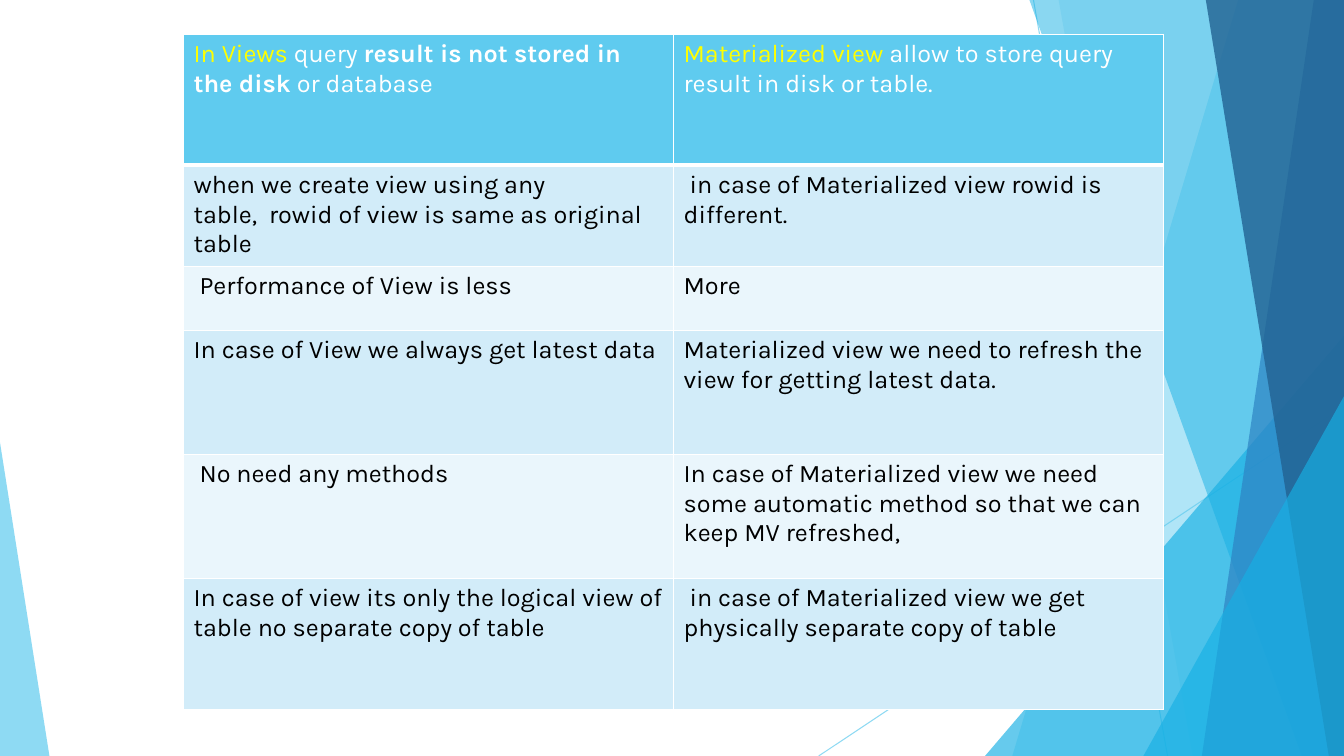
from dataclasses import dataclass
from pptx import Presentation
from pptx.dml.color import RGBColor
from pptx.enum.shapes import MSO_CONNECTOR as Connector, MSO_SHAPE as Preset
from pptx.oxml.ns import qn
from pptx.util import Inches, Pt
from lxml.etree import SubElement


@dataclass(frozen=True)
class Theme:
    font: str = "Karla"
    size: int = 18
    sky: str = "5FCBEF"
    cyan: str = "17B0E4"
    blue: str = "2E83C3"
    navy: str = "226292"
    band_dark: str = "D2ECF9"
    band_light: str = "EAF6FC"
    highlight: str = "FFFF00"
    white: str = "FFFFFF"
    black: str = "000000"


THEME = Theme()
WIDTH, HEIGHT = 13.33, 7.5
COLUMN_WIDTH = 4.86
ROW_HEIGHTS = (1.3, 1, 0.64, 1.23, 1.23, 1.3)
HEADER = (
    [[("In Views", THEME.highlight, False),
      (" query\u00a0", THEME.white, False),
      ("result is not stored in the disk", THEME.white, True),
      ("\u00a0or database", THEME.white, False)]],
    [[("Materialized view ", THEME.highlight, False),
      ("allow to store query result in disk or table.", THEME.white, False)]],
)
COMPARISON = (
    ("when we create view using any table,\u00a0\u00a0rowid\u00a0of view is same\u00a0as original table",
     "\u00a0in case of Materialized view\u00a0rowid\u00a0is different."),
    ("\u00a0Performance of View is less\u00a0", "More"),
    ("In case of View we always get latest data",
     "Materialized view we need to refresh the view for getting latest data."),
    ("\u00a0No need any methods",
     "In case of Materialized view we need some automatic method so that we can keep MV refreshed,"),
    ("In case of view its only the logical view of table no separate copy of table",
     "\u00a0in case of Materialized view we get physically separate copy of table"),
)


def set_alpha(element, percent):
    for color in element.iter(qn("a:srgbClr")):
        SubElement(color, qn("a:alpha"), val=str(percent * 1000))


def paint(facet, color, opacity):
    facet.shadow.inherit = False
    facet.fill.solid()
    facet.fill.fore_color.rgb = RGBColor.from_string(color)
    facet.line.fill.background()
    set_alpha(facet._element.spPr, opacity)


def add_ray(slide, start, end):
    ray = slide.shapes.add_connector(Connector.STRAIGHT, *map(Inches, start + end))
    ray.line.color.rgb = RGBColor.from_string(THEME.sky)
    ray.line.width = Pt(0.75)
    properties = ray._element.spPr
    set_alpha(properties, 70)
    SubElement(properties, qn("a:effectLst"))


def add_panel(slide, top_x, bottom_x, color, opacity):
    corners = [(WIDTH, 0), (WIDTH, HEIGHT), (bottom_x, HEIGHT)]
    outline = slide.shapes.build_freeform(Inches(top_x), 0)
    outline.add_line_segments([(Inches(x), Inches(y)) for x, y in corners])
    paint(outline.convert_to_shape(), color, opacity)


def add_wedge(slide, left, top, width, apex, color, opacity):
    wedge = slide.shapes.add_shape(
        Preset.ISOSCELES_TRIANGLE, *map(Inches, (left, top, width, HEIGHT - top)))
    wedge.adjustments[0] = apex
    paint(wedge, color, opacity)


def add_backdrop(slide):
    add_ray(slide, (10.25, 0), (11.58, HEIGHT))
    add_ray(slide, (WIDTH, 4.03), (8.12, HEIGHT))
    add_panel(slide, 12.28, 10.04, THEME.sky, 36)
    add_panel(slide, 10.5, 11.83, THEME.sky, 20)
    add_wedge(slide, 9.77, 3.33, 3.56, 1, THEME.cyan, 66)
    add_panel(slide, 10.21, 12.91, THEME.cyan, 50)
    add_panel(slide, 13.03, 11.92, THEME.blue, 70)
    add_panel(slide, 11.96, 13.18, THEME.navy, 80)
    add_wedge(slide, 11.34, 3.93, 1.99, 1, THEME.cyan, 66)
    add_wedge(slide, 0, 4.39, 0.49, 0, THEME.sky, 70)


def set_borders(cell, bottom):
    properties = cell._tc.get_or_add_tcPr()
    for side, points in (("L", 1), ("R", 1), ("T", 1), ("B", bottom)):
        border = SubElement(properties, qn(f"a:ln{side}"), w=str(Pt(points)))
        SubElement(SubElement(border, qn("a:solidFill")), qn("a:srgbClr"), val=THEME.white)


def fill_cell(cell, paragraphs, color, bottom=1):
    set_borders(cell, bottom)
    cell.fill.solid()
    cell.fill.fore_color.rgb = RGBColor.from_string(color)
    for index, pieces in enumerate(paragraphs):
        frame = cell.text_frame
        paragraph = frame.add_paragraph() if index else frame.paragraphs[0]
        for wording, ink, bold in pieces:
            run = paragraph.add_run()
            run.text = wording
            run.font.name = THEME.font
            run.font.size = Pt(THEME.size)
            run.font.bold = bold
            run.font.color.rgb = RGBColor.from_string(ink)


def add_comparison(slide):
    table = slide.shapes.add_table(
        len(ROW_HEIGHTS), 2, Inches(1.82), Inches(0.34),
        Inches(2 * COLUMN_WIDTH), Inches(sum(ROW_HEIGHTS))).table
    for column in table.columns:
        column.width = Inches(COLUMN_WIDTH)
    for row, height in zip(table.rows, ROW_HEIGHTS):
        row.height = Inches(height)
    for cell, paragraphs in zip(table.rows[0].cells, HEADER):
        fill_cell(cell, paragraphs, THEME.sky, bottom=3)
    for number, wordings in enumerate(COMPARISON, 1):
        band = THEME.band_dark if number % 2 else THEME.band_light
        for cell, wording in zip(table.rows[number].cells, wordings):
            fill_cell(cell, [[(wording, THEME.black, False)]], band)


def main():
    deck = Presentation()
    deck.slide_width, deck.slide_height = Inches(WIDTH), Inches(HEIGHT)
    slide = deck.slides.add_slide(deck.slide_layouts[6])
    add_backdrop(slide)
    add_comparison(slide)
    deck.save("out.pptx")


main()
